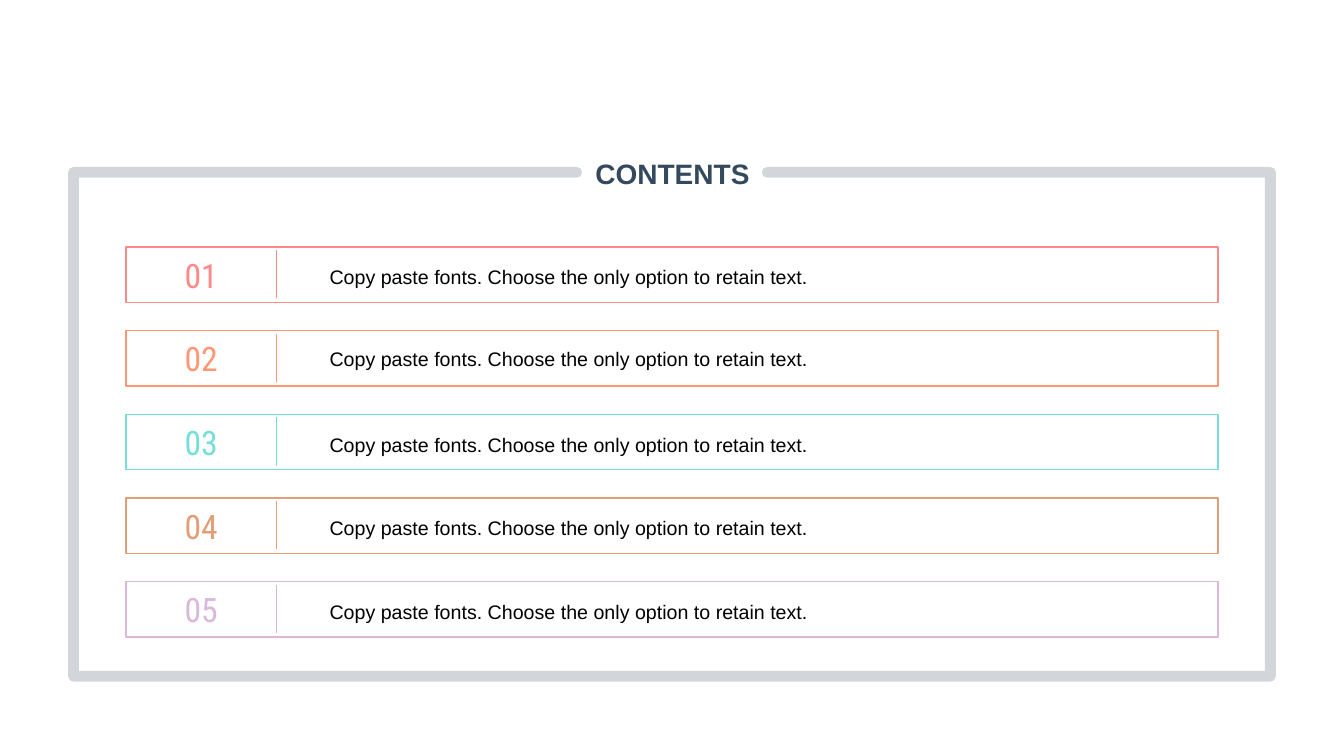
from dataclasses import dataclass

from lxml import etree
from pptx import Presentation
from pptx.dml.color import RGBColor
from pptx.enum.shapes import MSO_CONNECTOR, MSO_SHAPE
from pptx.enum.text import MSO_ANCHOR, MSO_AUTO_SIZE, PP_ALIGN
from pptx.oxml.ns import qn
from pptx.util import Pt

LEFT, CENTER = PP_ALIGN.LEFT, PP_ALIGN.CENTER
MIDDLE = MSO_ANCHOR.MIDDLE
FIXED = MSO_AUTO_SIZE.NONE
RECT, STRAIGHT = MSO_SHAPE.RECTANGLE, MSO_CONNECTOR.STRAIGHT
PX = 9144  # 100 px to the inch
TITLE_ONLY = 5


@dataclass(frozen=True)
class Theme:
    ink: str = "34485E"
    black: str = "000000"
    rows: tuple = ("FF8989", "FF9774", "73DFD6", "E39D77", "DBB7DB")
    sans: str = "Arial"
    slim: str = "Roboto Condensed"
    head: int = 20
    num: int = 24
    body: int = 14
    thin: float = 1
    thick: float = 7.75
    alpha: int = 21


def assign(item, values):
    for name, value in values.items():
        setattr(item, name, value)


class Board:
    def __init__(self, slide, theme):
        self.slide = slide
        self.shapes = slide.shapes
        self.theme = theme

    def fill_text(self, shape, text, font, color, align=LEFT, space=1.0, **frame):
        """Fill a shape with one formatted paragraph."""
        box = shape.text_frame
        box.text = text
        assign(box, {"word_wrap": True, "auto_size": FIXED,
                     "vertical_anchor": MIDDLE, **frame})
        para = box.paragraphs[0]
        assign(para, {"alignment": align, "line_spacing": space})
        run = para.runs[0]
        assign(run.font, font)
        run.font.color.rgb = RGBColor.from_string(color)

    def title(self, text, box):
        shape = self.shapes.title
        names = ("left", "top", "width", "height")
        assign(shape, dict(zip(names, (v * PX for v in box))))
        font = {"name": self.theme.sans, "size": Pt(self.theme.head), "bold": True}
        self.fill_text(shape, text, font, self.theme.ink, CENTER,
                       margin_left=0, margin_right=0, margin_top=0, margin_bottom=0)

    def label(self, text, box, font, color, align=LEFT, space=1.0):
        shape = self.shapes.add_textbox(*(v * PX for v in box))
        self.fill_text(shape, text, font, color, align, space)

    def stroke(self, shape, color, width):
        shape.line.color.rgb = RGBColor.from_string(color)
        shape.line.width = Pt(width)

    def rect(self, box, color):
        shape = self.shapes.add_shape(RECT, *(v * PX for v in box))
        shape.shadow.inherit = False
        shape.fill.background()
        self.stroke(shape, color, self.theme.thin)

    def rule(self, x, top, end, color):
        line = self.shapes.add_connector(STRAIGHT, x * PX, top * PX, x * PX, end * PX)
        self.stroke(line, color, self.theme.thin)
        etree.SubElement(line._element.spPr, qn("a:effectLst"))

    def frame(self, points):
        """Draw an open, see-through outline with round ends and corners."""
        outline = self.shapes.build_freeform(*points[0], scale=PX)
        outline.add_line_segments(points[1:], close=False)
        shape = outline.convert_to_shape()
        shape.shadow.inherit = False
        shape.fill.background()
        self.stroke(shape, self.theme.ink, self.theme.thick)
        line = shape._element.spPr.find(qn("a:ln"))
        line.set("cap", "rnd")
        etree.SubElement(line, qn("a:round"))
        tint = line.find(".//" + qn("a:srgbClr"))
        etree.SubElement(tint, qn("a:alpha"), val=str(self.theme.alpha * 1000))


def main():
    deck = Presentation()
    assign(deck, {"slide_width": 1333 * PX, "slide_height": 750 * PX})
    theme = Theme()
    board = Board(deck.slides.add_slide(deck.slide_layouts[TITLE_ONLY]), theme)

    # Heading set into the gap of the frame
    board.title("CONTENTS", (581, 138, 172, 67))
    board.frame([(761, 171), (1260, 171), (1260, 671),
                 (73, 671), (73, 171), (572, 171)])

    # Numbered rows
    left, top, wide, high, step = 125, 245, 1083, 55, 83
    split, start = 274, 317
    num = {"name": theme.slim, "size": Pt(theme.num)}
    body = {"name": theme.sans, "size": Pt(theme.body)}
    spaces = (1.2, 1.0, 1.2, 1.2, 1.2)
    for i, (color, space) in enumerate(zip(theme.rows, spaces)):
        y = top + i * step
        board.rect((left, y, wide, high), color)
        board.label(f"{i + 1:02}", (left, y, split - left, high), num, color, CENTER)
        board.rule(split, y + 3, y + 51, color)
        board.label("Copy paste fonts. Choose the only option to retain text.",
                    (start, y, left + wide - start, high), body, theme.black,
                    space=space)

    deck.save("out.pptx")


if __name__ == "__main__":
    main()
